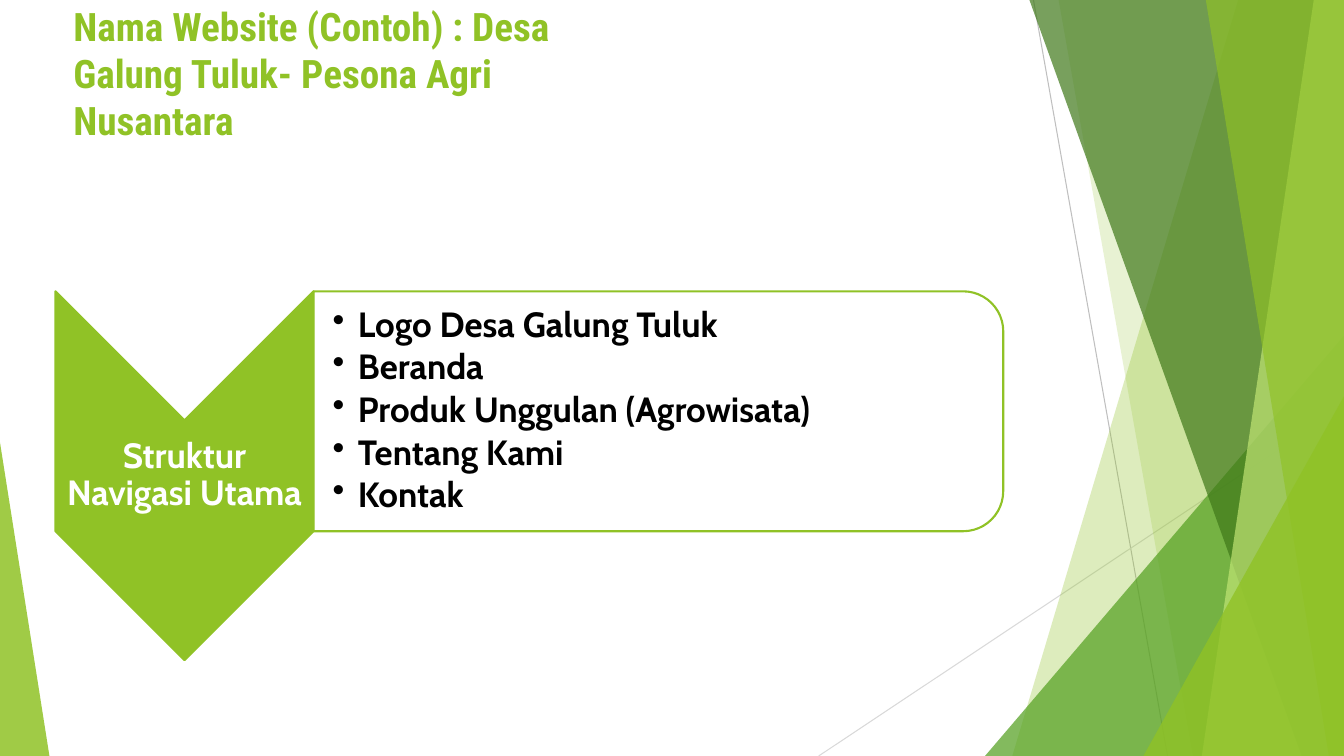
from lxml import etree
from pptx import Presentation
from pptx.dml.color import RGBColor
from pptx.enum.shapes import MSO_CONNECTOR, MSO_SHAPE
from pptx.enum.text import MSO_ANCHOR, PP_ALIGN
from pptx.oxml.ns import qn
from pptx.util import Inches, Pt

STRAIGHT = MSO_CONNECTOR.STRAIGHT
TRIANGLE = MSO_SHAPE.ISOSCELES_TRIANGLE
CHEVRON = MSO_SHAPE.CHEVRON
ROUND_TOP = MSO_SHAPE.ROUND_2_SAME_RECTANGLE
MIDDLE, BOTTOM = MSO_ANCHOR.MIDDLE, MSO_ANCHOR.BOTTOM
LEFT, CENTER = PP_ALIGN.LEFT, PP_ALIGN.CENTER

WIDTH, HEIGHT = 13.33, 7.5
LIME, GREEN, FOREST, PALE = "90C226", "54A021", "3F7819", "C0E474"
WHITE, BLACK = "FFFFFF", "000000"
TITLE_FONT, BODY_FONT = "Roboto Condensed", "Cabin"
MENU = ["Logo Desa Galung Tuluk", "Beranda", "Produk Unggulan (Agrowisata)",
        "Tentang Kami", "Kontak"]


def rgb(value):
    return RGBColor.from_string(value)


def paint(shape, color, opacity=100, outline=None):
    shape.shadow.inherit = False
    shape.fill.solid()
    shape.fill.fore_color.rgb = rgb(color)
    if opacity < 100:
        color_node = shape.fill._xPr.find(qn("a:solidFill"))[0]
        etree.SubElement(color_node, qn("a:alpha"), val=str(opacity * 1000))
    if outline:
        shape.line.color.rgb = rgb(outline)
        shape.line.width = Pt(1.5)
    else:
        shape.line.fill.background()


def add_line(slide, start, end, color):
    line = slide.shapes.add_connector(STRAIGHT, *map(Inches, start + end))
    line.line.color.rgb = rgb(color)
    line.line.width = Pt(0.75)
    etree.SubElement(line._element.spPr, qn("a:effectLst"))


def add_triangle(slide, box, peak, color, opacity):
    triangle = slide.shapes.add_shape(TRIANGLE, *map(Inches, box))
    triangle.adjustments[0] = peak
    paint(triangle, color, opacity)


def add_rotated(slide, kind, box, color, opacity=100):
    left, top, width, height = box
    shape = slide.shapes.add_shape(
        kind, Inches(left + (width - height) / 2), Inches(top + (height - width) / 2),
        Inches(height), Inches(width))
    shape.rotation = 90
    paint(shape, color, opacity, outline=LIME)


def add_text(slide, box, lines, size, font, color, anchor=MIDDLE, align=LEFT,
             insets=(0.02, 0.02, 0.02, 0.02), spacing=1.0, after=0, bullet=None):
    frame = slide.shapes.add_textbox(*map(Inches, box)).text_frame
    frame.word_wrap = True
    frame.vertical_anchor = anchor
    (frame.margin_left, frame.margin_top,
     frame.margin_right, frame.margin_bottom) = map(Inches, insets)
    for index, line in enumerate(lines):
        paragraph = frame.add_paragraph() if index else frame.paragraphs[0]
        paragraph.alignment = align
        paragraph.line_spacing = spacing
        paragraph.space_after = Pt(after)
        run = paragraph.add_run()
        run.text = line
        run.font.size = Pt(size)
        run.font.name = font
        run.font.bold = True
        run.font.color.rgb = rgb(color)
        if bullet:
            properties = paragraph._p.get_or_add_pPr()
            properties.set("marL", str(Inches(0.25)))
            properties.set("indent", str(Inches(-0.25)))
            etree.SubElement(properties, qn("a:buChar"), char=bullet)


def add_facets(slide, left, top, width, height):
    right, bottom = left + width, top + height

    def band(top_inset, bottom_inset, color, opacity):
        corners = [(right - top_inset, top), (right, top),
                   (right, bottom), (right - bottom_inset, bottom)]
        points = [(Inches(x), Inches(y)) for x, y in corners]
        builder = slide.shapes.build_freeform(*points[0])
        builder.add_line_segments(points[1:], close=True)
        paint(builder.convert_to_shape(), color, opacity)

    def corner(corner_width, corner_height, color, opacity):
        box = (right - corner_width, bottom - corner_height, corner_width, corner_height)
        add_triangle(slide, box, 1, color, opacity)

    add_line(slide, (right - 3.08, top), (right - 1.75, bottom), "BFBFBF")
    add_line(slide, (right, top + 4.03), (left, bottom), "D9D9D9")
    band(1.05, 3.29, LIME, 30)
    band(2.83, 1.5, LIME, 20)
    corner(3.56, 4.17, GREEN, 72)
    band(3.12, 0.42, FOREST, 70)
    band(0.3, 1.41, PALE, 70)
    band(1.37, 0.15, LIME, 65)
    corner(1.99, 3.57, LIME, 80)


def add_navigation(slide, left, top, width, height):
    arrow_width, panel_height = 2.56, 2.38
    panel_left = left + arrow_width
    panel_width = width - arrow_width
    add_rotated(slide, CHEVRON, (left, top, arrow_width, height), LIME)
    add_text(slide, (left, top + arrow_width / 2, arrow_width, height - arrow_width),
             ["Struktur Navigasi Utama"], 25, BODY_FONT, WHITE,
             align=CENTER, spacing=0.9)
    add_rotated(slide, ROUND_TOP, (panel_left, top, panel_width, panel_height), WHITE, 90)
    add_text(slide, (panel_left, top + 0.12, panel_width - 0.12, panel_height - 0.24),
             MENU, 25, BODY_FONT, BLACK, insets=(0.19, 0.02, 0.02, 0.02),
             spacing=0.9, after=3.5, bullet="•")


def main():
    presentation = Presentation()
    presentation.slide_width = Inches(WIDTH)
    presentation.slide_height = Inches(HEIGHT)
    slide = presentation.slides.add_slide(presentation.slide_layouts[6])
    add_facets(slide, 8.12, 0, WIDTH - 8.12, HEIGHT)
    add_triangle(slide, (0, 4.39, 0.49, 3.11), 0, LIME, 85)
    add_text(slide, (0.63, 0.38, 5.57, 1.09),
             ["Nama Website (Contoh) : Desa Galung Tuluk- Pesona Agri Nusantara"],
             28, TITLE_FONT, LIME, anchor=BOTTOM, insets=(0.1, 0.05, 0.1, 0.05))
    add_navigation(slide, 0.55, 2.89, 9.4, 3.66)
    presentation.save("out.pptx")


if __name__ == "__main__":
    main()
